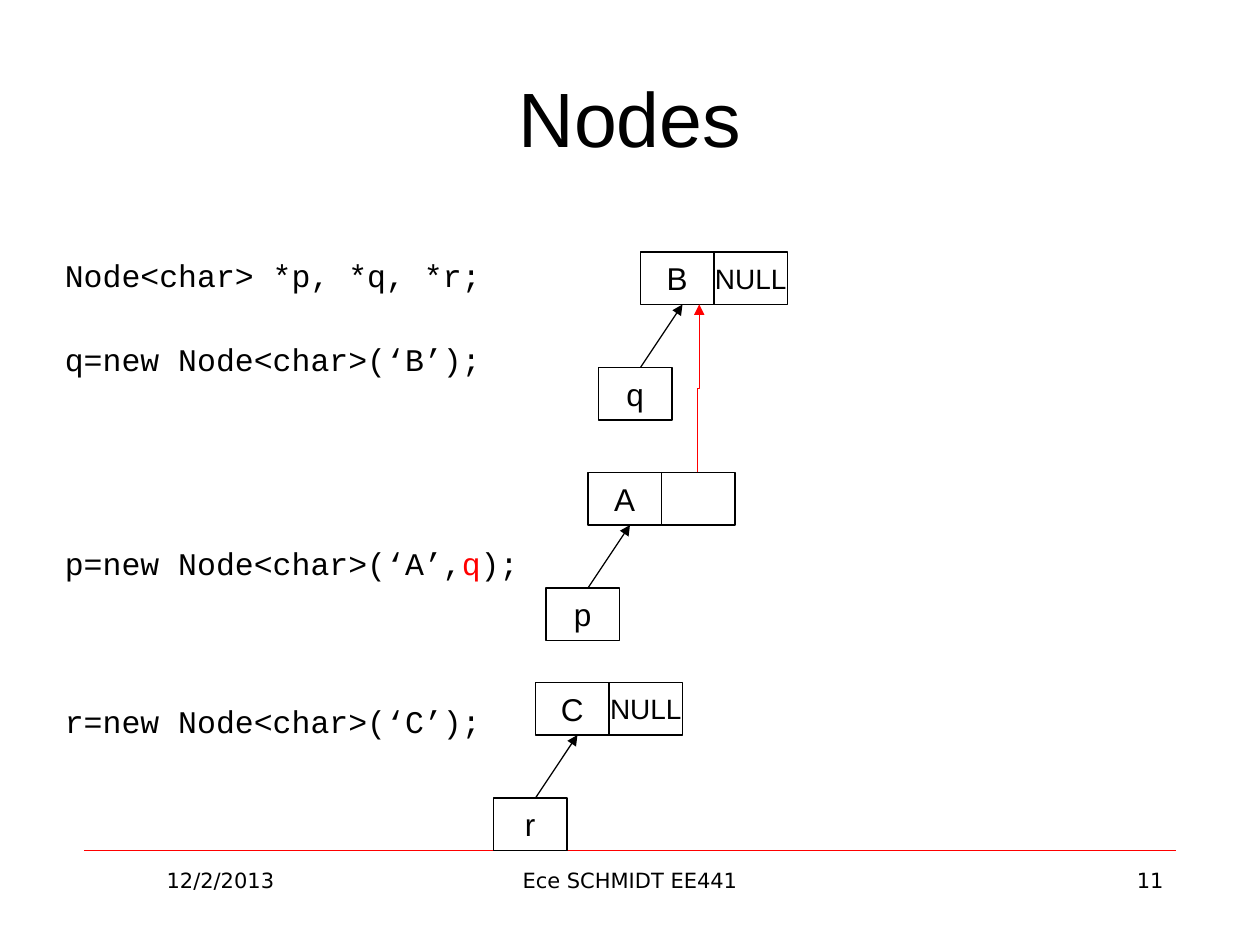
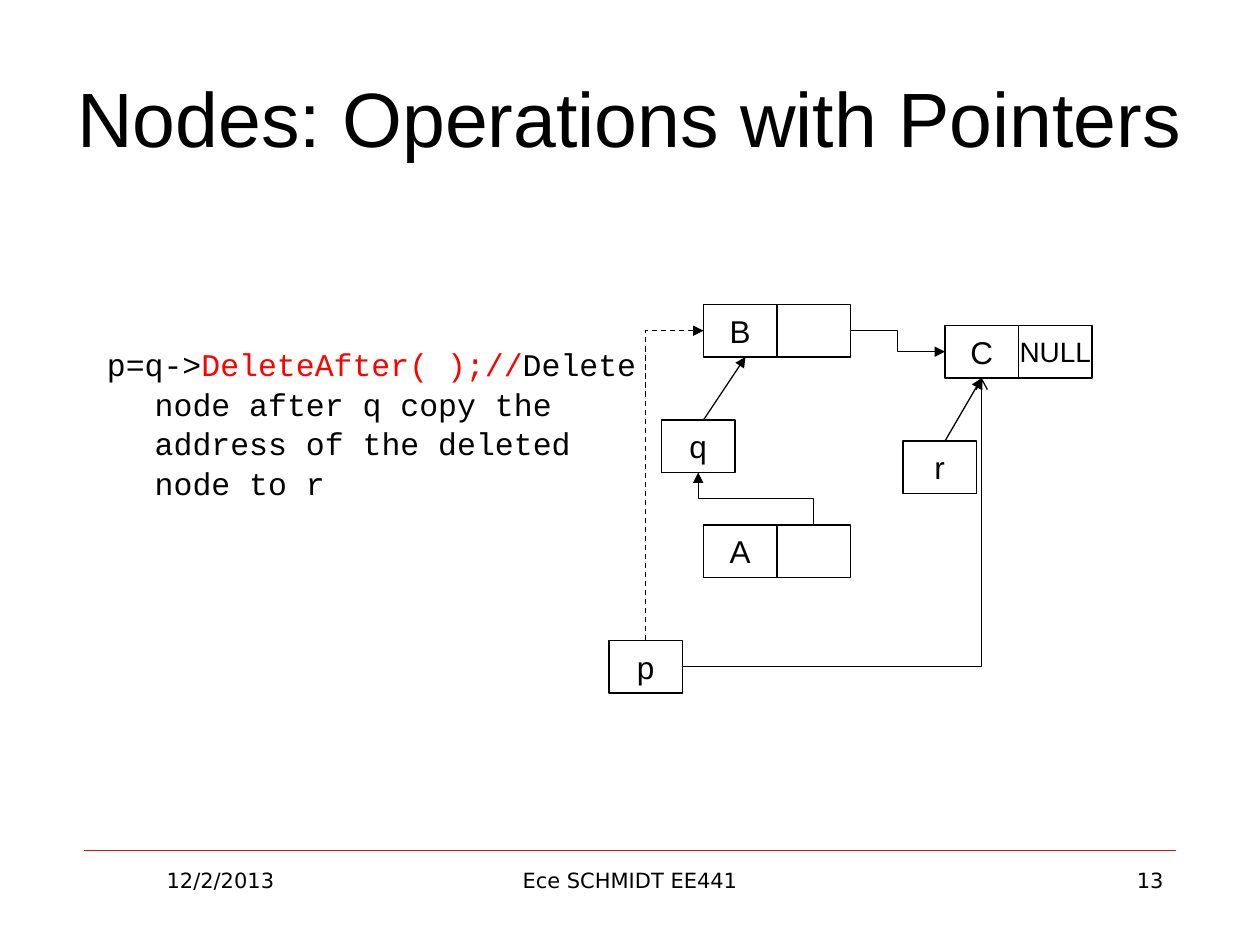
import dataclasses
import typing

import lxml.etree
import pptx
import pptx.dml.color
import pptx.enum.dml
import pptx.enum.shapes
import pptx.enum.text
import pptx.oxml.ns
import pptx.util

BLACK = pptx.dml.color.RGBColor(0, 0, 0)
RED = pptx.dml.color.RGBColor(255, 0, 0)
WHITE = pptx.dml.color.RGBColor(255, 255, 255)
SANS, MONO, FOOT = "Arial", "Courier New", "DejaVu Sans"
ALIGN = pptx.enum.text.PP_ALIGN
ANCHOR = pptx.enum.text.MSO_ANCHOR
LINK = pptx.enum.shapes.MSO_CONNECTOR

deck = pptx.Presentation()
deck.slide_width = pptx.util.Inches(10)
deck.slide_height = pptx.util.Inches(7.5)
COLS = 120  # square grid: 120 columns by 90 rows
CELL_W, CELL_H = 7, 5
INDENT = pptx.util.Inches(0.38)
Point = tuple[float, float]


@dataclasses.dataclass
class Node:
    """A two-cell node; its pointer box, if any, hangs below left."""
    col: float
    row: float
    name: str
    next: str = ""
    ptr: str = ""
    reach: float = 4


@dataclasses.dataclass
class Code:
    """A block of code made of coloured runs."""
    box: tuple[float, float, float, float]
    runs: list[tuple[str, pptx.dml.color.RGBColor]]
    drop: float = 0


@dataclasses.dataclass
class Bend:
    """An elbow arrow that may set off upright or level."""
    start: Point
    end: Point
    upright: bool = True
    corners: int = 2
    color: pptx.dml.color.RGBColor = BLACK
    dashed: bool = False
    head: str = "triangle"


@dataclasses.dataclass
class Page:
    """All that differs from slide to slide."""
    title: str
    number: str
    nodes: list[Node]
    codes: list[Code]
    bends: list[Bend]
    boxes: list[tuple[float, float, str]] = dataclasses.field(default_factory=list)


def unit(*spans: float) -> list[int]:
    """Turn grid spans into slide lengths."""
    return [round(deck.slide_width * span / COLS) for span in spans]


def style(para: typing.Any, face: str, size: float, align: ALIGN = ALIGN.LEFT) -> None:
    """Set font and alignment of a paragraph."""
    para.alignment = align
    para.font.name, para.font.size = face, pptx.util.Pt(size)
    para.font.color.rgb = BLACK


def draw_line(slide: typing.Any, start: Point, end: Point, kind: LINK = LINK.STRAIGHT,
              color: pptx.dml.color.RGBColor = BLACK, width: float = 0.75,
              head: str = "") -> typing.Any:
    """Draw a connector without shadow, with an optional arrowhead."""
    line = slide.shapes.add_connector(kind, *unit(*start, *end))
    line.line.color.rgb, line.line.width = color, pptx.util.Pt(width)
    if head:
        tip = lxml.etree.SubElement(line.line._get_or_add_ln(), pptx.oxml.ns.qn("a:tailEnd"))
        tip.set("type", head)
    lxml.etree.SubElement(line._element.spPr, pptx.oxml.ns.qn("a:effectLst"))
    return line


def draw_bend(slide: typing.Any, bend: Bend) -> None:
    """Draw an elbow arrow; an upright one is a level one turned by 90 degrees."""
    start, end = bend.start, bend.end
    if bend.upright:
        mid_x, mid_y = (start[0] + end[0]) / 2, (start[1] + end[1]) / 2
        half_x, half_y = (end[0] - start[0]) / 2, (end[1] - start[1]) / 2
        start = mid_x - half_y, mid_y + half_x
        end = mid_x + half_y, mid_y - half_x
    line = draw_line(slide, start, end, LINK.ELBOW, bend.color, head=bend.head)
    props = line._element.spPr
    props.find(pptx.oxml.ns.qn("a:prstGeom")).set("prst", f"bentConnector{bend.corners + 1}")
    if bend.upright:
        props.find(pptx.oxml.ns.qn("a:xfrm")).set("rot", str(90 * 60000))
    if bend.dashed:
        line.line.dash_style = pptx.enum.dml.MSO_LINE.DASH


def draw_cell(shapes: typing.Any, col: float, row: float, text: str) -> None:
    """Draw one outlined cell with centred text."""
    cell = shapes.add_shape(pptx.enum.shapes.MSO_SHAPE.RECTANGLE,
                            *unit(col, row, CELL_W, CELL_H))
    cell.shadow.inherit = False
    cell.fill.background()
    cell.line.color.rgb, cell.line.width = BLACK, pptx.util.Pt(0.75)
    frame = cell.text_frame
    frame.word_wrap, frame.vertical_anchor = False, ANCHOR.MIDDLE
    if text:
        frame.text = text
        style(frame.paragraphs[0], SANS, 16 if text == "NULL" else 18, ALIGN.CENTER)


def draw_node(slide: typing.Any, node: Node) -> None:
    """Draw a node, its pointer box and the arrow between them."""
    group = slide.shapes.add_group_shape()
    for place, text in enumerate((node.name, node.next)):
        draw_cell(group.shapes, node.col + place * CELL_W, node.row, text)
    if node.ptr:
        low = node.row + 11
        draw_line(slide, (node.col, low), (node.col + node.reach, node.row + CELL_H),
                  head="triangle")
        draw_cell(slide.shapes, node.col - 4, low, node.ptr)


def draw_text(slide: typing.Any, box: tuple[float, float, float, float]) -> typing.Any:
    """Add a wrapping text box and return its frame."""
    frame = slide.shapes.add_textbox(*unit(*box)).text_frame
    frame.word_wrap = True
    return frame


def draw_code(slide: typing.Any, code: Code) -> None:
    """Write code with a hanging indent."""
    frame = draw_text(slide, code.box)
    frame.margin_top = pptx.util.Inches(0.1 + code.drop)
    para = frame.paragraphs[0]
    style(para, MONO, 18)
    para.line_spacing = 1.05
    props = para._p.get_or_add_pPr()
    props.set("marL", str(INDENT))
    props.set("indent", str(-INDENT))
    for text, color in code.runs:
        run = para.add_run()
        run.text, run.font.color.rgb = text, color


def draw_frame(slide: typing.Any, page: Page) -> None:
    """Draw the title, the footer rule and the footers."""
    slide.background.fill.solid()
    slide.background.fill.fore_color.rgb = WHITE
    draw_line(slide, (8, 81), (112, 81), color=RED, width=0.25)
    title = slide.shapes.title
    title.left, title.top, title.width, title.height = unit(6, 3.6, 108, 15)
    title.text_frame.text = page.title
    title.text_frame.auto_size = pptx.enum.text.MSO_AUTO_SIZE.NONE
    title.text_frame.vertical_anchor = ANCHOR.MIDDLE
    style(title.text_frame.paragraphs[0], SANS, 44, ALIGN.CENTER)
    for col, width, text, align in ((8, 26, "12/2/2013", ALIGN.CENTER),
                                    (41, 38, "Ece SCHMIDT EE441", ALIGN.CENTER),
                                    (86, 26, page.number, ALIGN.RIGHT)):
        frame = draw_text(slide, (col, 82, width, 6.25))
        frame.text = text
        style(frame.paragraphs[0], FOOT, 12, align)


def draw_page(page: Page) -> None:
    """Build one slide."""
    slide = deck.slides.add_slide(deck.slide_layouts.get_by_name("Title Only"))
    draw_frame(slide, page)
    for code in page.codes:
        draw_code(slide, code)
    for node in page.nodes:
        draw_node(slide, node)
    for box in page.boxes:
        draw_cell(slide.shapes, *box)
    for bend in page.bends:
        draw_bend(slide, bend)


DROP = 0.29  # one line of code, in inches
PAGES = [
    Page("Nodes", "11",
         nodes=[Node(61, 24, "B", "NULL", "q"),
                Node(56, 45, "A", "", "p"),
                Node(51, 65, "C", "NULL", "r")],
         codes=[Code((5, 23, 53, 5), [("Node<char> *p, *q, *r;", BLACK)]),
                Code((5, 31, 53, 5), [("q=new Node<char>(‘B’);", BLACK)]),
                Code((5, 47, 53, 7), [("p=new Node<char>(‘A’,", BLACK), ("q", RED),
                                      (");", BLACK)], DROP),
                Code((5, 62, 53, 7), [("r=new Node<char>(‘C’);", BLACK)], DROP)],
         bends=[Bend((66.4, 45), (66.6, 29), color=RED)]),
    Page("Nodes: Operations with Pointers", "13",
         nodes=[Node(67, 29, "B", "", "q"),
                Node(67, 50, "A"),
                Node(90, 31, "C", "NULL", "r", 3.5)],
         codes=[Code((9, 28, 54, 17),
                     [("p=q->", BLACK), ("DeleteAfter( );//", RED),
                      ("Delete node after q copy the address of the deleted node to r",
                       BLACK)], DROP)],
         boxes=[(58, 61, "p")],
         bends=[Bend((77.5, 50), (66.5, 45)),
                Bend((61.5, 61), (67, 31.5), corners=1, dashed=True),
                Bend((81, 31.5), (90, 33.5), upright=False),
                Bend((65, 63.5), (93.5, 36), upright=False, corners=1, head="arrow")]),
]

for page in PAGES:
    draw_page(page)
deck.save("out.pptx")
